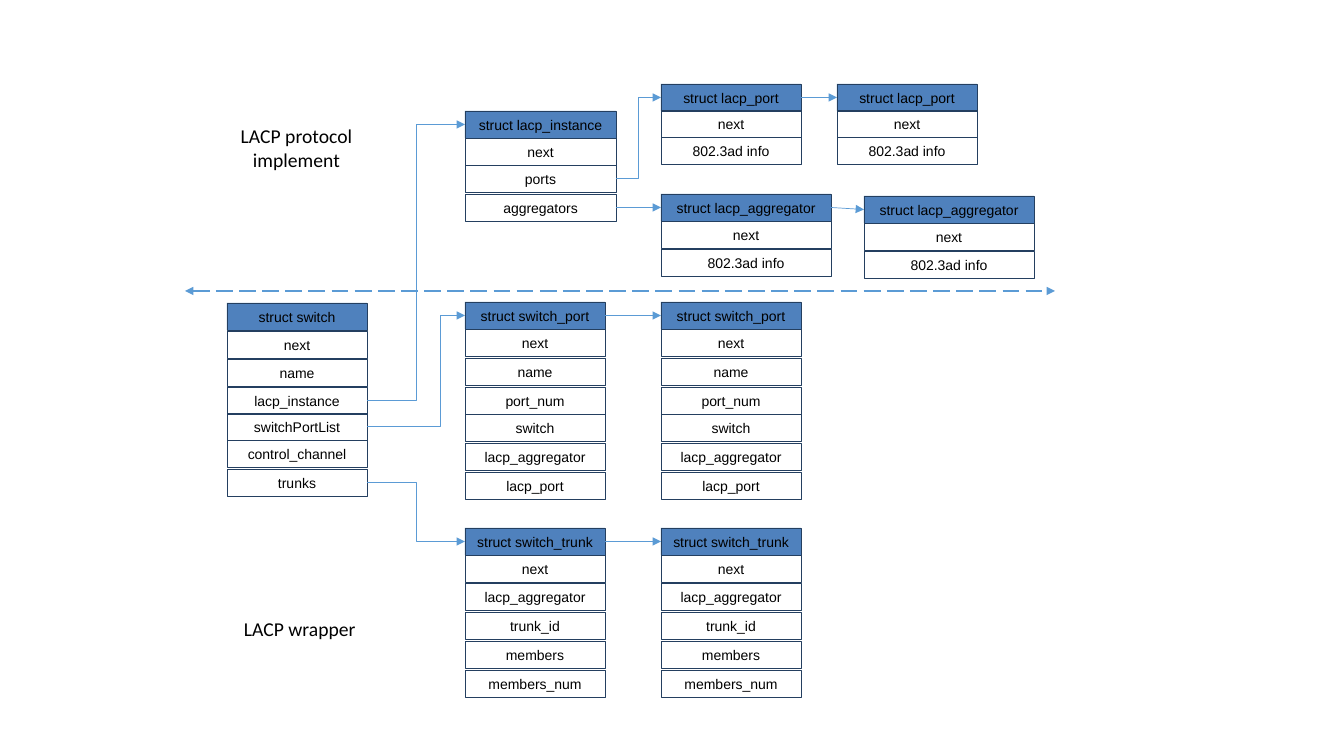
from lxml.etree import SubElement
from pptx import Presentation
from pptx.dml.color import RGBColor
from pptx.enum.dml import MSO_LINE
from pptx.enum.shapes import MSO_CONNECTOR, MSO_SHAPE
from pptx.enum.text import MSO_ANCHOR, MSO_AUTO_SIZE, PP_ALIGN
from pptx.oxml.ns import qn
from pptx.util import Emu, Pt

PX = 914400 / 100.8
ROW_HEIGHT = 27
RIGHT, LEFT = 3, 1


def px(*lengths):
    return [Emu(round(length * PX)) for length in lengths]


def color(hex_string):
    return RGBColor.from_string(hex_string)


presentation = Presentation()
presentation.slide_width, presentation.slide_height = px(1344, 756)
slide = presentation.slides.add_slide(presentation.slide_layouts[6])

row_font = {"name": "Arial", "size": Pt(10)}
label_font = {"name": "Calibri", "size": Pt(14)}

# Fields of each struct, with their offset below the header
switch_fields = {"struct switch": 0, "next": 28, "name": 56, "lacp_instance": 84,
                 "switchPortList": 110, "control_channel": 137, "trunks": 166}
switch_port_fields = {"struct switch_port": 0, "next": 27, "name": 56, "port_num": 85,
                      "switch": 112, "lacp_aggregator": 141, "lacp_port": 170}
switch_trunk_fields = {"struct switch_trunk": 0, "next": 27, "lacp_aggregator": 55,
                       "trunk_id": 84, "members": 113, "members_num": 142}
instance_fields = {"struct lacp_instance": 0, "next": 27, "ports": 54, "aggregators": 83}
lacp_port_fields = {"struct lacp_port": 0, "next": 26, "802.3ad info": 53}
aggregator_fields = {"struct lacp_aggregator": 0, "next": 27, "802.3ad info": 55}

# Struct: left, top, width, fields
structs = {
    "switch": (227, 303, 140, switch_fields),
    "switch port 1": (465, 302, 140, switch_port_fields),
    "switch port 2": (661, 302, 140, switch_port_fields),
    "switch trunk 1": (465, 528, 140, switch_trunk_fields),
    "switch trunk 2": (661, 528, 140, switch_trunk_fields),
    "instance": (465, 111, 151, instance_fields),
    "lacp port 1": (661, 84, 140, lacp_port_fields),
    "lacp port 2": (837, 84, 140, lacp_port_fields),
    "aggregator 1": (661, 194, 170, aggregator_fields),
    "aggregator 2": (864, 196, 170, aggregator_fields),
}
boxes = {}
for struct, (left, top, width, fields) in structs.items():
    for field, offset in fields.items():
        shape = slide.shapes.add_shape(
            MSO_SHAPE.RECTANGLE, *px(left, top + offset, width, ROW_HEIGHT))
        shape.shadow.inherit = False
        if offset == 0:
            shape.fill.solid()
            shape.fill.fore_color.rgb = color("4F81BD")
            boxes[struct] = shape
        else:
            shape.fill.background()
            boxes[struct, field] = shape
        shape.line.color.rgb = color("243F60")
        shape.line.width = Pt(0.25)
        frame_format = {"margin_left": 0, "margin_right": 0, "margin_top": 0,
                        "margin_bottom": 0, "vertical_anchor": MSO_ANCHOR.MIDDLE}
        for name, value in frame_format.items():
            setattr(shape.text_frame, name, value)
        paragraph = shape.text_frame.paragraphs[0]
        paragraph.text = field
        paragraph.alignment = PP_ALIGN.CENTER
        for name, value in row_font.items():
            setattr(paragraph.font, name, value)
        paragraph.font.color.rgb = color("000000")

# Pointers between structs: from, to, kind, place of the bend in thousandths
straight, elbow = MSO_CONNECTOR.STRAIGHT, MSO_CONNECTOR.ELBOW
pointers = [
    (("instance", "ports"), "lacp port 1", elbow, 500),
    (("instance", "aggregators"), "aggregator 1", elbow, 500),
    ("aggregator 1", "aggregator 2", straight, None),
    ("lacp port 1", "lacp port 2", straight, None),
    (("switch", "lacp_instance"), "instance", elbow, 500),
    (("switch", "switchPortList"), "switch port 1", elbow, 751),
    ("switch port 1", "switch port 2", straight, None),
    (("switch", "trunks"), "switch trunk 1", elbow, 500),
    ("switch trunk 1", "switch trunk 2", straight, None),
]
lines = []
for source, target, kind, bend in pointers:
    start, end = boxes[source], boxes[target]
    connector = slide.shapes.add_connector(
        kind, start.left + start.width, start.top + start.height // 2,
        end.left, end.top + end.height // 2)
    connector.begin_connect(start, RIGHT)
    connector.end_connect(end, LEFT)
    if bend:
        adjustments = connector._element.spPr.find(qn("a:prstGeom")).get_or_add_avLst()
        SubElement(adjustments, qn("a:gd"), name="adj1", fmla=f"val {bend * 100}")
    lines.append((connector, 0.5, ["a:tailEnd"]))

# Divider between protocol and wrapper
divider = slide.shapes.add_connector(straight, *px(185, 291, 1055, 291))
divider.line.dash_style = MSO_LINE.LONG_DASH
lines.append((divider, 1.5, ["a:headEnd", "a:tailEnd"]))

# Line colour, width and arrowheads
for connector, width, arrowheads in lines:
    connector.line.color.rgb = color("5B9BD5")
    connector.line.width = Pt(width)
    for arrowhead in arrowheads:
        SubElement(connector.line._get_or_add_ln(), qn(arrowhead), type="triangle")
    SubElement(connector._element.spPr, qn("a:effectLst"))

# Labels of the two halves
labels = [
    (230, 119, 133, 57, ["LACP protocol", "implement"], PP_ALIGN.CENTER),
    (234, 612, 133, 34, ["LACP wrapper"], PP_ALIGN.LEFT),
]
for left, top, width, height, texts, alignment in labels:
    text_frame = slide.shapes.add_textbox(*px(left, top, width, height)).text_frame
    text_frame.word_wrap = False
    text_frame.auto_size = MSO_AUTO_SIZE.SHAPE_TO_FIT_TEXT
    text_frame.text = "\n".join(texts)
    for paragraph in text_frame.paragraphs:
        paragraph.alignment = alignment
        for name, value in label_font.items():
            setattr(paragraph.font, name, value)
        paragraph.font.color.rgb = color("000000")

presentation.save("out.pptx")
